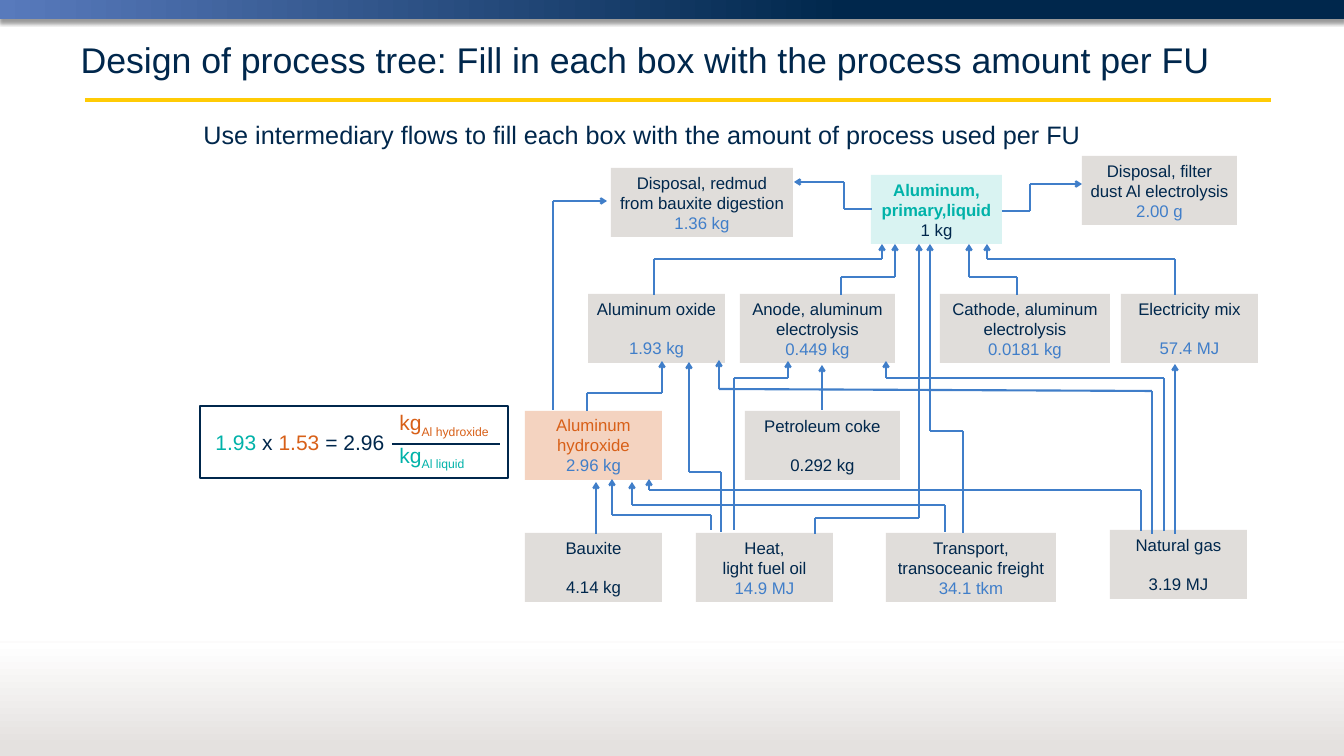
from dataclasses import dataclass
from itertools import pairwise
from typing import NamedTuple, Optional

from lxml import etree
from pptx import Presentation
from pptx import util as u
from pptx.dml.color import RGBColor
from pptx.enum import shapes, text
from pptx.oxml.ns import qn

EMU_PER_PX = 914400 / 75.6


@dataclass(frozen=True)
class Theme:
    navy: RGBColor = RGBColor.from_string("00274C")
    blue: RGBColor = RGBColor.from_string("407EC9")
    sky: RGBColor = RGBColor.from_string("587ABC")
    teal: RGBColor = RGBColor.from_string("00B2A9")
    orange: RGBColor = RGBColor.from_string("D86018")
    gold: RGBColor = RGBColor.from_string("FFCB05")
    stone: RGBColor = RGBColor.from_string("B0A8A2")
    mist: RGBColor = RGBColor.from_string("E4E1DF")
    white: RGBColor = RGBColor.from_string("FFFFFF")
    font: str = "Arial"
    title: int = 34
    lead: int = 24
    formula: int = 20
    process: int = 16
    process_line: float = 18.4


THEME = Theme()


class Box(NamedTuple):
    left: int
    top: int
    width: int
    height: int


class Span(NamedTuple):
    words: str
    color: RGBColor
    bold: bool = False
    subscript: bool = False


class Shadow(NamedTuple):
    alpha: int
    blur: float
    distance: float


class Process(NamedTuple):
    name: str
    amount: str
    left: int
    top: int
    width: int = 137
    amount_color: RGBColor = THEME.blue
    name_color: RGBColor = THEME.navy
    fill: RGBColor = THEME.stone
    opacity: int = 39
    gap: bool = False
    bold: bool = False
    anchor: text.MSO_ANCHOR = text.MSO_ANCHOR.MIDDLE


PROCESSES = [
    Process("Disposal, redmud from bauxite digestion", "1.36 kg", 611, 168, 182),
    Process("Aluminum, primary,liquid", "1 kg", 871, 175, 131, THEME.navy, THEME.teal, THEME.teal, 15, bold=True),
    Process("Disposal, filter dust Al electrolysis", "2.00 g", 1082, 156, 155),
    Process("Aluminum oxide", "1.93 kg", 588, 294, gap=True),
    Process("Anode, aluminum electrolysis", "0.449 kg", 740, 294, 155),
    Process("Cathode, aluminum electrolysis", "0.0181 kg", 940, 294, 170),
    Process("Electricity mix", "57.4 MJ", 1121, 294, gap=True),
    Process("Aluminum hydroxide", "2.96 kg", 525, 411, name_color=THEME.orange, fill=THEME.orange, opacity=27,
            anchor=text.MSO_ANCHOR.TOP),
    Process("Petroleum coke", "0.292 kg", 745, 411, 155, THEME.navy, gap=True),
    Process("Bauxite", "4.14 kg", 525, 533, amount_color=THEME.navy, gap=True),
    Process("Heat,\nlight fuel oil", "14.9 MJ", 696, 533),
    Process("Transport, transoceanic freight", "34.1 tkm", 886, 533, 170),
    Process("Natural gas", "3.19 MJ", 1110, 530, amount_color=THEME.navy, gap=True),
]

FLOWS = [
    [(872, 209), (844, 209), (844, 182), (794, 182)],
    [(1002, 211), (1030, 211), (1030, 184), (1082, 184)],
    [(654, 295), (654, 259), (882, 259), (882, 244)],
    [(841, 295), (841, 277), (895, 277), (895, 244)],
    [(1017, 295), (1017, 277), (969, 277), (969, 244)],
    [(1175, 295), (1175, 259), (987, 259), (987, 244)],
    [(553, 410), (553, 201), (607, 201)],
    [(587, 411), (587, 393), (662, 393), (662, 361)],
    [(822, 410), (822, 365)],
    [(596, 534), (596, 482)],
    [(711, 530), (711, 515), (612, 515), (612, 479)],
    [(721, 532), (721, 472), (689, 472), (689, 362)],
    [(734, 530), (734, 378), (788, 378), (788, 361)],
    [(815, 534), (815, 518), (919, 518), (919, 244)],
    [(945, 532), (945, 505), (632, 505), (632, 482)],
    [(963, 533), (963, 431), (930, 431), (930, 244)],
    [(1141, 531), (1141, 490), (649, 490), (649, 479)],
    [(1152, 534), (1152, 391), (719, 389), (719, 360)],
    [(1164, 531), (1164, 378), (886, 378), (886, 361)],
    [(1175, 534), (1175, 364)],
]

FORMULA = [
    (Box(392, 406, 125, 33), [Span("kg", THEME.orange), Span("Al hydroxide", THEME.orange, subscript=True)]),
    (Box(208, 426, 203, 33), [Span("1.93 ", THEME.teal), Span("x", THEME.navy),
                              Span(" 1.53 ", THEME.orange), Span("= 2.96", THEME.navy)]),
    (Box(392, 439, 87, 33), [Span("kg", THEME.teal), Span("Al liquid", THEME.teal, subscript=True)]),
]


def px(length: int) -> u.Emu:
    return u.Emu(round(length * EMU_PER_PX))


def set_opacity(element, percent: int) -> None:
    color = element.spPr.find(".//" + qn("a:srgbClr"))
    etree.SubElement(color, qn("a:alpha")).set("val", str(percent * 1000))


def set_shadow(element, shadow: Optional[Shadow]) -> None:
    effects = element.spPr.find(qn("a:effectLst"))
    if effects is None:
        effects = etree.SubElement(element.spPr, qn("a:effectLst"))
    if shadow:
        outer = etree.SubElement(effects, qn("a:outerShdw"), blurRad=str(u.Pt(shadow.blur)),
                                 dist=str(u.Pt(shadow.distance)), dir="5400000", rotWithShape="0")
        black = etree.SubElement(outer, qn("a:srgbClr"), val="000000")
        etree.SubElement(black, qn("a:alpha"), val=str(shadow.alpha * 1000))


def add_spans(paragraph, spans: list[Span], size: int) -> None:
    for span in spans:
        run = paragraph.add_run()
        run.text = span.words
        run.font.name, run.font.size = THEME.font, u.Pt(size)
        run.font.bold, run.font.color.rgb = span.bold, span.color
        if span.subscript:
            run.font._element.set("baseline", "-25000")


def add_rect(slide, box: Box):
    rect = slide.shapes.add_shape(shapes.MSO_SHAPE.RECTANGLE, *map(px, box))
    rect.shadow.inherit = False
    rect.line.fill.background()
    return rect


def add_band(slide, box: Box, stops: list[tuple[float, RGBColor]], angle: int,
             shadow: Optional[Shadow] = None) -> None:
    band = add_rect(slide, box)
    band.fill.gradient()
    band.fill.gradient_angle = angle
    for stop, (position, color) in zip(band.fill.gradient_stops, stops):
        stop.position, stop.color.rgb = position, color
    set_shadow(band._element, shadow)


def add_line(slide, start: tuple[int, int], end: tuple[int, int], color: RGBColor, weight: float,
             arrow: bool = False, shadow: Optional[Shadow] = None):
    line = slide.shapes.add_connector(shapes.MSO_CONNECTOR.STRAIGHT, *map(px, (*start, *end)))
    line.line.color.rgb, line.line.width = color, u.Pt(weight)
    if arrow:
        etree.SubElement(line.line._get_or_add_ln(), qn("a:tailEnd"), type="arrow")
    set_shadow(line._element, shadow)
    return line


def add_words(slide, box: Box, spans: list[Span], size: int) -> None:
    frame = slide.shapes.add_textbox(*map(px, box)).text_frame
    frame.word_wrap = True
    add_spans(frame.paragraphs[0], spans, size)


def add_process(slide, process: Process) -> None:
    rect = add_rect(slide, Box(process.left, process.top, process.width, 69))
    rect.fill.solid()
    rect.fill.fore_color.rgb = process.fill
    set_opacity(rect._element, process.opacity)
    frame = rect.text_frame
    frame.word_wrap, frame.vertical_anchor = True, process.anchor
    spans = [Span(line, process.name_color, process.bold) for line in process.name.split("\n")]
    spans.append(Span(process.amount, process.amount_color))
    for index, span in enumerate(spans):
        paragraph = frame.add_paragraph() if index else frame.paragraphs[0]
        paragraph.alignment = text.PP_ALIGN.CENTER
        add_spans(paragraph, [span], THEME.process)
    if process.gap:
        paragraph.space_before = u.Pt(THEME.process_line)


def add_flow(slide, route: list[tuple[int, int]]) -> None:
    for start, end in pairwise(route):
        add_line(slide, start, end, THEME.blue, 2, arrow=end == route[-1])


def add_title(slide, box: Box, words: str) -> None:
    title = slide.shapes.title
    title.left, title.top, title.width, title.height = map(px, box)
    frame = title.text_frame
    frame.auto_size, frame.vertical_anchor = text.MSO_AUTO_SIZE.NONE, text.MSO_ANCHOR.MIDDLE
    frame.paragraphs[0].alignment = text.PP_ALIGN.LEFT
    add_spans(frame.paragraphs[0], [Span(words, THEME.navy)], THEME.title)


def main() -> None:
    deck = Presentation()
    deck.slide_width, deck.slide_height = px(1344), px(756)
    slide = deck.slides.add_slide(deck.slide_layouts[5])

    add_band(slide, Box(0, 0, 1344, 19), [(0, THEME.sky), (0.63, THEME.navy)], 0, Shadow(40, 4, 3))
    add_line(slide, (85, 100), (1271, 100), THEME.gold, 3)
    add_band(slide, Box(0, 643, 1344, 113), [(0.08, THEME.mist), (1, THEME.white)], 90)
    divider = add_line(slide, (0, 642), (1344, 642), THEME.mist, 0.75, shadow=Shadow(38, 3.1, 1.6))
    set_opacity(divider._element, 30)

    add_title(slide, Box(73, 23, 1210, 72),
              "Design of process tree: Fill in each box with the process amount per FU")
    add_words(slide, Box(196, 116, 1097, 38),
              [Span("Use intermediary flows to fill each box with the amount of process used per FU", THEME.navy)],
              THEME.lead)
    for process in PROCESSES:
        add_process(slide, process)
    for route in FLOWS:
        add_flow(slide, route)

    for box, spans in FORMULA:
        add_words(slide, box, spans, THEME.formula)
    add_line(slide, (392, 444), (500, 444), THEME.navy, 1.5)
    frame = add_rect(slide, Box(200, 406, 308, 72))
    frame.fill.background()
    frame.line.color.rgb, frame.line.width = THEME.navy, u.Pt(1.5)

    deck.save("out.pptx")


if __name__ == "__main__":
    main()
